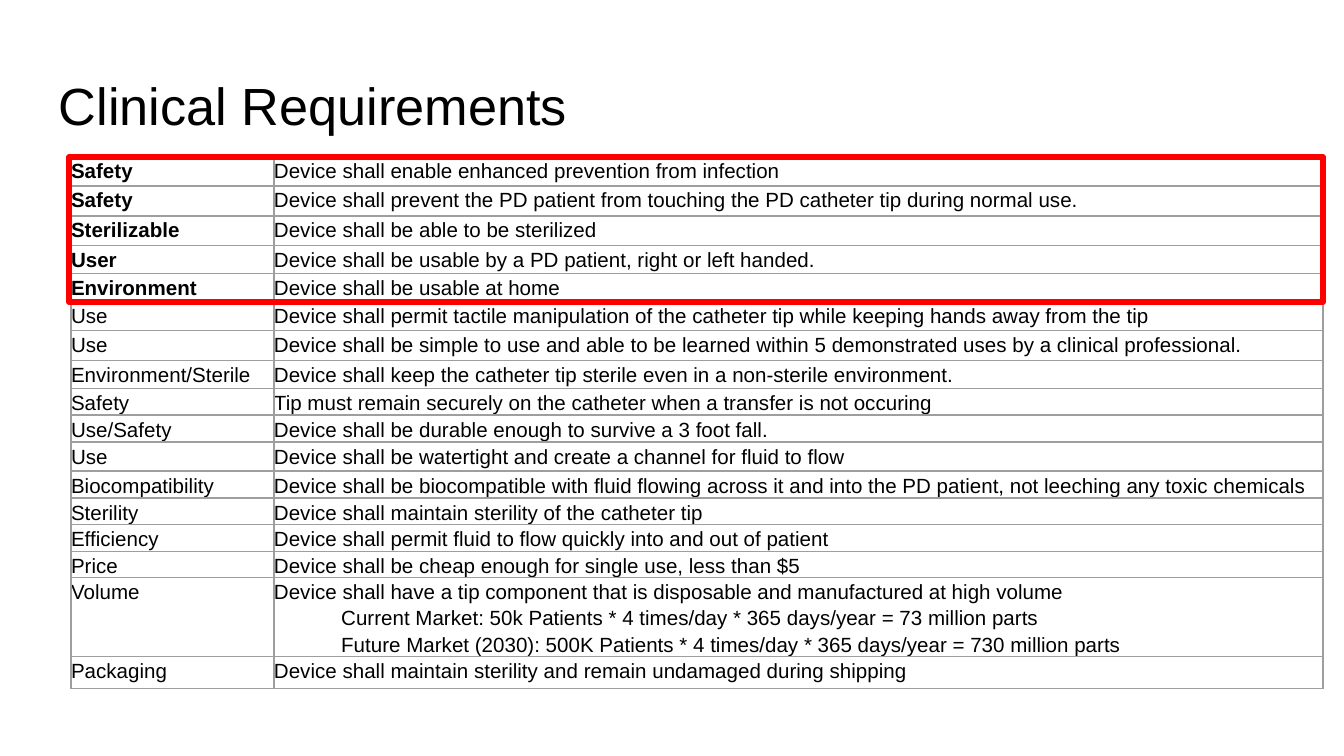
import pptx
import pptx.util
import pptx.dml.color
import pptx.enum.shapes
import pptx.enum.text
import lxml.etree

TITLE = "Clinical Requirements"
REQUIREMENTS = [
    ("Safety", "Device shall enable enhanced prevention from infection", 29),
    ("Safety", "Device shall prevent the PD patient from touching the PD catheter tip during normal use.", 30),
    ("Sterilizable", "Device shall be able to be sterilized", 30),
    ("User", "Device shall be usable by a PD patient, right or left handed.", 28),
    ("Environment", "Device shall be usable at home", 28),
    ("Use", "Device shall permit tactile manipulation of the catheter tip while keeping hands away from the tip", 29),
    ("Use", "Device shall be simple to use and able to be learned within 5 demonstrated uses by a clinical professional.", 30),
    ("Environment/Sterile", "Device shall keep the catheter tip sterile even in a non-sterile environment.", 28),
    ("Safety", "Tip must remain securely on the catheter when a transfer is not occuring", 26),
    ("Use/Safety", "Device shall be durable enough to survive a 3 foot fall.", 27),
    ("Use", "Device shall be watertight and create a channel for fluid to flow", 29),
    ("Biocompatibility", "Device shall be biocompatible with fluid flowing across it and into the PD patient, not leeching any toxic chemicals", 27),
    ("Sterility", "Device shall maintain sterility of the catheter tip", 26),
    ("Efficiency", "Device shall permit fluid to flow quickly into and out of patient", 27),
    ("Price", "Device shall be cheap enough for single use, less than $5", 26),
    ("Volume", "Device shall have a tip component that is disposable and manufactured at high volume\n"
               "\tCurrent Market: 50k Patients * 4 times/day * 365 days/year = 73 million parts\n"
               "\tFuture Market (2030): 500K Patients * 4 times/day * 365 days/year = 730 million parts", 79),
    ("Packaging", "Device shall maintain sterility and remain undamaged during shipping", 32),
]
KEY_ROWS = 5
COLUMNS = (203, 1049)
TABLE_LEFT, TABLE_TOP = 71, 157
THEME = {"font": "Arial", "title": 28, "body": 11, "spacing": 1.15,
         "text": "000000", "grid": "9E9E9E", "grid_width": 0.75,
         "highlight": "FF0000", "highlight_width": 3}


def px(n):
    return round(n * 914400 / 134.4)


def rgb(name):
    return pptx.dml.color.RGBColor.from_string(THEME[name])


def set_font(p, size, bold=False):
    p.font.name = THEME["font"]
    p.font.size = pptx.util.Pt(THEME[size])
    p.font.bold = bold
    p.font.color.rgb = rgb("text")


def set_borders(cell):
    ns = "{http://schemas.openxmlformats.org/drawingml/2006/main}"
    props = cell._tc.get_or_add_tcPr()
    for i, side in enumerate(("lnL", "lnR", "lnT", "lnB")):
        ln = lxml.etree.Element(ns + side, w=str(pptx.util.Pt(THEME["grid_width"])))
        fill = lxml.etree.SubElement(ln, ns + "solidFill")
        lxml.etree.SubElement(fill, ns + "srgbClr", val=THEME["grid"])
        props.insert(i, ln)


prs = pptx.Presentation()
prs.slide_width, prs.slide_height = px(1344), px(756)
s = prs.slides.add_slide(prs.slide_layouts[5])

title = s.shapes.title
title.left, title.top, title.width, title.height = map(px, (46, 60, 1252, 85))
tf = title.text_frame
tf.text = TITLE
tf.word_wrap = True
tf.auto_size = pptx.enum.text.MSO_AUTO_SIZE.NONE
tf.vertical_anchor = pptx.enum.text.MSO_ANCHOR.TOP
tf.margin_left = tf.margin_right = tf.margin_top = tf.margin_bottom = px(13)
tf.paragraphs[0].alignment = pptx.enum.text.PP_ALIGN.LEFT
set_font(tf.paragraphs[0], "title")

heights = [height for _, _, height in REQUIREMENTS]
table = s.shapes.add_table(len(REQUIREMENTS), len(COLUMNS), px(TABLE_LEFT), px(TABLE_TOP),
                           px(sum(COLUMNS)), px(sum(heights))).table
table.first_row = table.horz_banding = False
for column, width in zip(table.columns, COLUMNS):
    column.width = px(width)
for i, (category, requirement, height) in enumerate(REQUIREMENTS):
    table.rows[i].height = px(height)
    for j, text in enumerate((category, requirement)):
        cell = table.cell(i, j)
        cell.margin_left = cell.margin_right = cell.margin_top = cell.margin_bottom = 0
        cell.fill.background()
        set_borders(cell)
        cell.text_frame.text = text
        for p in cell.text_frame.paragraphs:
            p.line_spacing = THEME["spacing"]
            set_font(p, "body", j == 0 and i < KEY_ROWS)

sp = s.shapes.add_shape(pptx.enum.shapes.MSO_SHAPE.RECTANGLE, px(TABLE_LEFT - 2), px(TABLE_TOP),
                        px(sum(COLUMNS) + 2), px(sum(heights[:KEY_ROWS])))
sp.shadow.inherit = False
sp.fill.background()
sp.line.color.rgb = rgb("highlight")
sp.line.width = pptx.util.Pt(THEME["highlight_width"])

prs.save("out.pptx")
